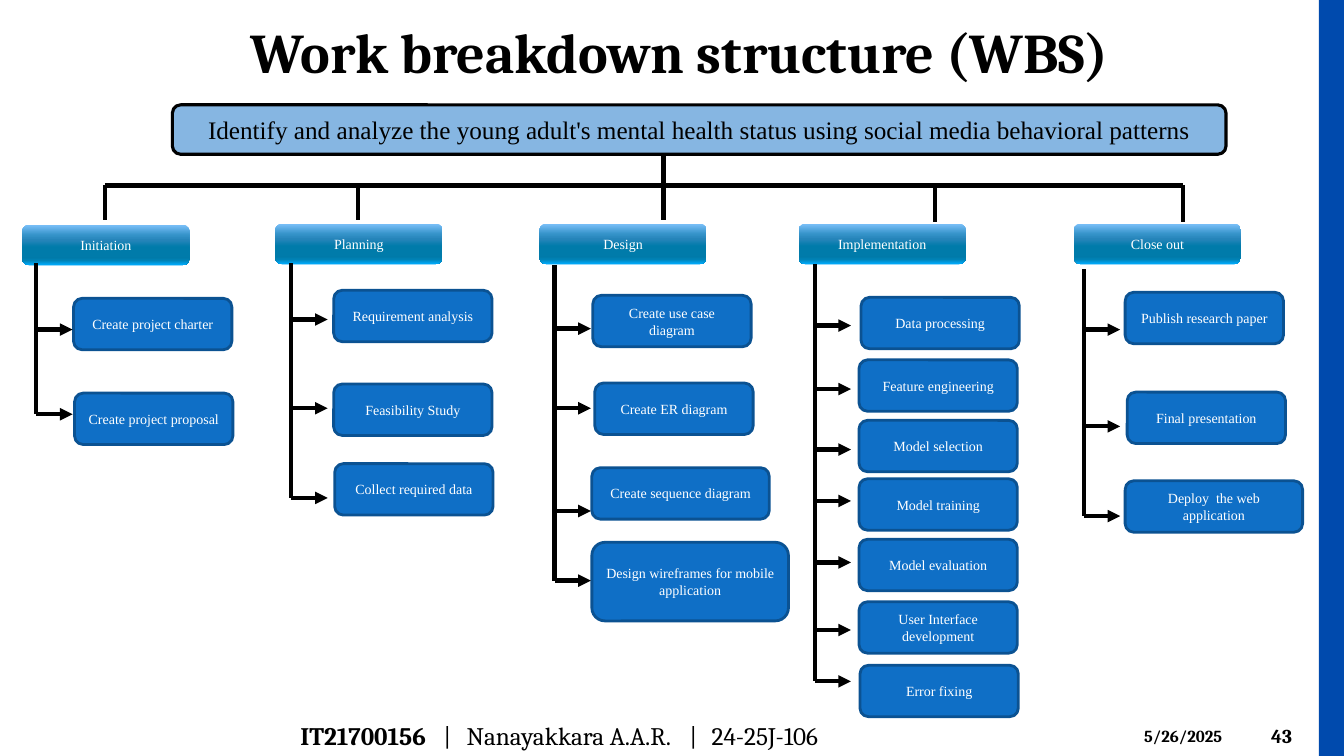
"""Build the work breakdown structure slide."""
from dataclasses import dataclass

from lxml.etree import SubElement
from pptx import Presentation
from pptx.dml.color import RGBColor
from pptx.enum.shapes import MSO_CONNECTOR, MSO_SHAPE
from pptx.enum.text import MSO_ANCHOR, PP_ALIGN
from pptx.oxml.ns import qn
from pptx.util import Inches, Pt

TITLE = "Work breakdown structure (WBS)"
GOAL = ("Identify and analyze the young adult's mental health status "
        "using social media behavioral patterns")
STUDENT_ID = "IT21700156"
STUDENT_DETAILS = "\t|\tNanayakkara A.A.R.\t|\t24-25J-106"
DATE, PAGE = "5/26/2025", "43"

# Phase: name, left, top, stem x, stem bottom, spine x, spine top, tasks.
# Task: text, left, top, width, height, arrow y.
PHASES = [
    ("Initiation", 0.22, 2.23, 1.04, 2.18, 0.36, 2.61, [
        ("Create project charter", 0.73, 2.96, 1.57, 0.51, 3.27),
        ("Create project proposal", 0.74, 3.9, 1.57, 0.51, 4.11)]),
    ("Planning", 2.73, 2.22, 3.55, 2.18, 2.89, 2.61, [
        ("Requirement analysis", 3.31, 2.88, 1.57, 0.51, 3.17),
        ("Feasibility Study", 3.31, 3.81, 1.57, 0.51, 4.05),
        ("Collect required data", 3.32, 4.6, 1.57, 0.51, 4.94)]),
    ("Design", 5.35, 2.22, 6.58, 2.18, 5.5, 2.63, [
        ("Create use case diagram", 5.88, 2.93, 1.57, 0.51, 3.26),
        ("Create ER diagram", 5.9, 3.8, 1.57, 0.51, 4.05),
        ("Create sequence diagram", 5.87, 4.64, 1.76, 0.51, 5.07),
        ("Design wireframes for mobile application", 5.87, 5.38, 1.95, 0.78, 5.76)]),
    ("Implementation", 7.92, 2.22, 9.27, 2.2, 8.08, 2.62, [
        ("Data processing", 8.54, 2.95, 1.57, 0.51, 3.23),
        ("Feature engineering", 8.52, 3.57, 1.57, 0.51, 3.86),
        ("Model selection", 8.52, 4.17, 1.57, 0.51, 4.46),
        ("Model training", 8.52, 4.75, 1.57, 0.51, 4.97),
        ("Model evaluation", 8.52, 5.35, 1.57, 0.51, 5.58),
        ("User Interface development", 8.52, 5.97, 1.57, 0.51, 6.25),
        ("Error fixing", 8.53, 6.6, 1.57, 0.51, 6.76)]),
    ("Close out", 10.65, 2.22, 11.73, 2.2, 10.75, 2.67, [
        ("Publish research paper", 11.16, 2.9, 1.57, 0.51, 3.27),
        ("Final presentation", 11.18, 3.89, 1.57, 0.51, 4.23),
        ("Deploy  the web application", 11.16, 4.77, 1.76, 0.51, 5.12)]),
]
PHASE_SIZE = (1.66, 0.4)
GOAL_BOX = (1.71, 1.04, 10.45, 0.49)
TRUNK_X, BUS_Y, ARROW_LENGTH = 6.58, 1.84, 0.36
SLIDE_WIDTH, SLIDE_HEIGHT, SIDEBAR_LEFT = 13.33, 7.5, 13.08
FOOTER_TABS = (1.42, 1.65, 3.86, 4.08)


@dataclass(frozen=True)
class Theme:
    heading_font: str = "Cambria"
    body_font: str = "Times New Roman"
    black: str = "000000"
    white: str = "FFFFFF"
    sidebar: str = "004AAD"
    task: str = "0F6FC6"
    task_line: str = "0B5292"
    phase_stops: tuple = ((0, "7BC0F9"), (25, "3694CA"), (38, "2685BA"), (55, "007BAA"),
                          (80, "007AA9"), (88, "0080B2"), (100, "00ABFC"))
    title_size: float = 40
    large_size: float = 18
    page_size: float = 14
    date_size: float = 12
    box_size: float = 10
    connector_width: float = 3


THEME = Theme()


def style_run(run, size, color, font, bold=False):
    run.font.size, run.font.name, run.font.bold = Pt(size), font, bold
    run.font.color.rgb = RGBColor.from_string(color)


def add_box(slide, kind, bounds, fill, line=None, line_width=0):
    shape = slide.shapes.add_shape(kind, *map(Inches, bounds))
    shape.shadow.inherit = False
    shape.fill.solid()
    shape.fill.fore_color.rgb = RGBColor.from_string(fill)
    if line:
        shape.line.color.rgb = RGBColor.from_string(line)
        shape.line.width = Pt(line_width)
    else:
        shape.line.fill.background()
    return shape


def add_label_box(slide, text, bounds, size, color, fill, line=None, line_width=0):
    shape = add_box(slide, MSO_SHAPE.ROUNDED_RECTANGLE, bounds, fill, line, line_width)
    frame = shape.text_frame
    frame.text = text
    frame.word_wrap = True
    frame.vertical_anchor = MSO_ANCHOR.MIDDLE
    frame.paragraphs[0].alignment = PP_ALIGN.CENTER
    style_run(frame.paragraphs[0].runs[0], size, color, THEME.body_font)
    return shape


def set_phase_gradient(shape):
    solid = shape._element.spPr.find(qn("a:solidFill"))
    gradient = solid.makeelement(qn("a:gradFill"), {"rotWithShape": "1"})
    stops = SubElement(gradient, qn("a:gsLst"))
    for position, color in THEME.phase_stops:
        stop = SubElement(stops, qn("a:gs"), pos=str(position * 1000))
        SubElement(stop, qn("a:srgbClr"), val=color)
    SubElement(gradient, qn("a:lin"), ang="5400000", scaled="0")
    solid.getparent().replace(solid, gradient)


def add_line(slide, start, end, arrow=False):
    connector = slide.shapes.add_connector(
        MSO_CONNECTOR.STRAIGHT, *map(Inches, (*start, *end)))
    connector.line.color.rgb = RGBColor.from_string(THEME.black)
    connector.line.width = Pt(THEME.connector_width)
    if arrow:
        SubElement(connector.line._get_or_add_ln(), qn("a:tailEnd"), type="triangle")
    SubElement(connector._element.spPr, qn("a:effectLst"))


def add_footer_text(slide, bounds, runs, size, tabs=()):
    frame = slide.shapes.add_textbox(*map(Inches, bounds)).text_frame
    frame.word_wrap = True
    frame.vertical_anchor = MSO_ANCHOR.MIDDLE
    paragraph = frame.paragraphs[0]
    if tabs:
        tab_list = SubElement(paragraph._p.get_or_add_pPr(), qn("a:tabLst"))
        for position in tabs:
            SubElement(tab_list, qn("a:tab"), pos=str(Inches(position)), algn="l")
    for text, bold in runs:
        run = paragraph.add_run()
        run.text = text
        style_run(run, size, THEME.black, THEME.heading_font, bold)


def add_title(slide):
    title = slide.shapes.title
    title.left, title.top, title.width, title.height = map(Inches, (0.35, 0.02, 12.78, 0.87))
    title.text_frame.text = TITLE
    title.text_frame.vertical_anchor = MSO_ANCHOR.MIDDLE
    paragraph = title.text_frame.paragraphs[0]
    paragraph.alignment = PP_ALIGN.CENTER
    paragraph.line_spacing, paragraph.space_after = 1.16, Pt(8)
    style_run(paragraph.runs[0], THEME.title_size, THEME.black, THEME.heading_font, True)


def add_phase(slide, name, left, top, stem_x, stem_bottom, spine_x, spine_top, tasks):
    header = add_label_box(slide, name, (left, top, *PHASE_SIZE),
                           THEME.box_size, THEME.white, THEME.task)
    set_phase_gradient(header)
    add_line(slide, (stem_x, BUS_Y), (stem_x, stem_bottom))
    add_line(slide, (spine_x, spine_top), (spine_x, tasks[-1][-1]))
    for text, *bounds, arrow_y in tasks:
        add_label_box(slide, text, bounds, THEME.box_size, THEME.white,
                      THEME.task, THEME.task_line, 2)
        add_line(slide, (spine_x, arrow_y), (spine_x + ARROW_LENGTH, arrow_y), arrow=True)


def main():
    presentation = Presentation()
    presentation.slide_width = Inches(SLIDE_WIDTH)
    presentation.slide_height = Inches(SLIDE_HEIGHT)
    slide = presentation.slides.add_slide(presentation.slide_layouts[5])
    add_title(slide)
    add_footer_text(slide, (2.88, 7.1, 7.45, 0.4),
                    [(STUDENT_ID, True), (STUDENT_DETAILS, False)],
                    THEME.large_size, FOOTER_TABS)
    add_footer_text(slide, (11.25, 7.15, 1.17, 0.3), [(DATE, True)], THEME.date_size)
    add_footer_text(slide, (12.51, 7.1, 0.74, 0.4), [(PAGE, True)], THEME.page_size)
    add_box(slide, MSO_SHAPE.RECTANGLE,
            (SIDEBAR_LEFT, 0, SLIDE_WIDTH - SIDEBAR_LEFT, SLIDE_HEIGHT), THEME.sidebar)
    goal = add_label_box(slide, GOAL, GOAL_BOX, THEME.large_size, THEME.black,
                         THEME.task, THEME.black, 2.25)
    goal_color = goal._element.spPr.find(qn("a:solidFill"))[0]
    SubElement(goal_color, qn("a:alpha"), val="50000")
    add_line(slide, (TRUNK_X, GOAL_BOX[1] + GOAL_BOX[3]), (TRUNK_X, BUS_Y))
    add_line(slide, (PHASES[0][3], BUS_Y), (PHASES[-1][3], BUS_Y))
    for phase in PHASES:
        add_phase(slide, *phase)
    presentation.save("out.pptx")


if __name__ == "__main__":
    main()
